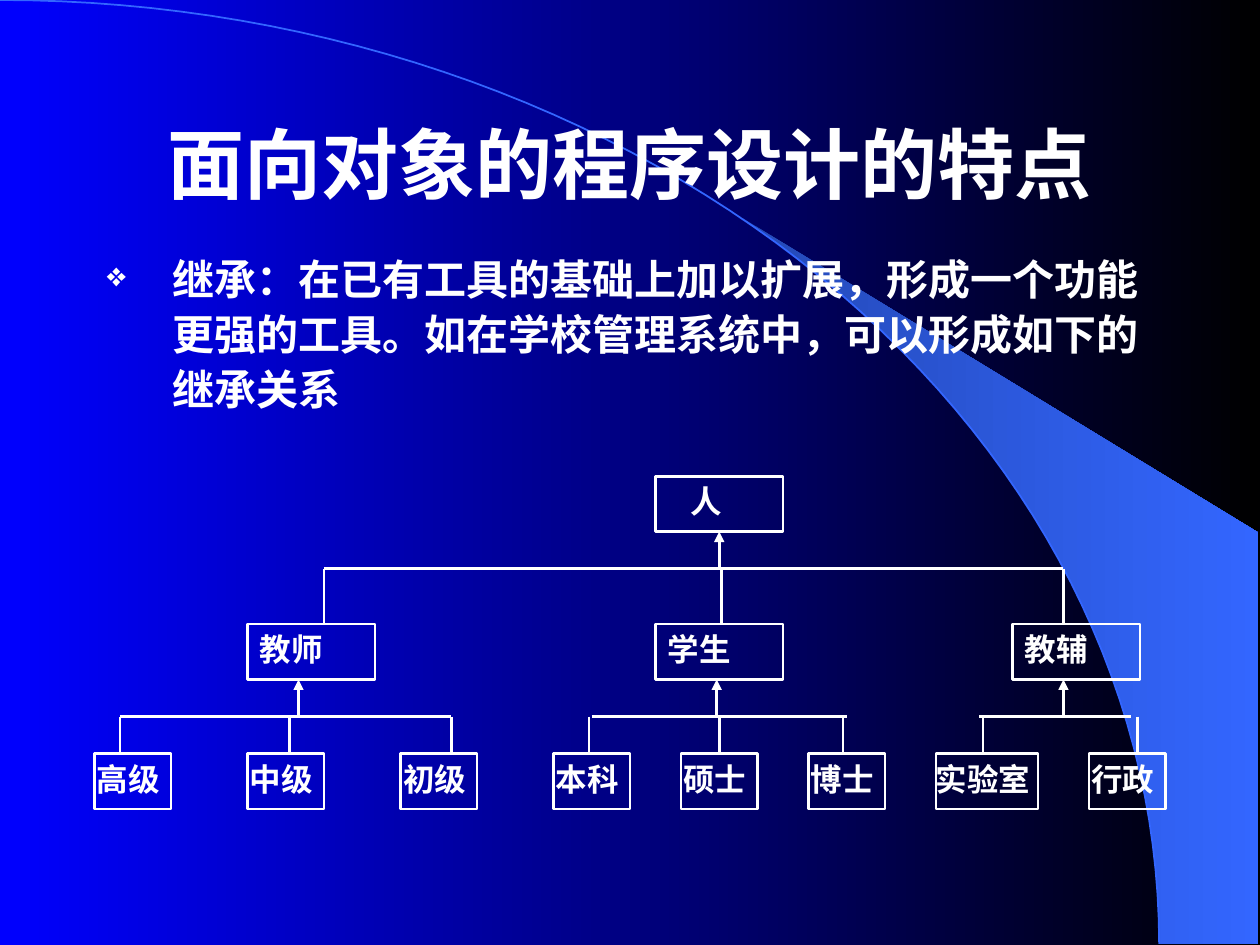
import math
import pptx
import pptx.dml.color
import pptx.enum.shapes
import pptx.enum.text
import pptx.oxml.ns
import pptx.util
from lxml import etree

COLORS = {"white": "FFFFFF", "blue": "0000FF", "black": "000000",
          "arc": "3366FF", "swoosh": "2449B6"}
ALIGN = pptx.enum.text.PP_ALIGN
ANCHOR = pptx.enum.text.MSO_ANCHOR
qn = pptx.oxml.ns.qn
inch = pptx.util.Inches


def rgb(name):
    return pptx.dml.color.RGBColor.from_string(COLORS[name])


def write(frame, text, size=18, font="Times New Roman", align=ALIGN.JUSTIFY,
          anchor=ANCHOR.TOP, left=0.1, right=0.1):
    """Fill a frame with one bold white paragraph; side insets in inches."""
    frame.word_wrap = True
    frame.vertical_anchor = anchor
    frame.margin_left, frame.margin_right = inch(left), inch(right)
    frame.margin_top = frame.margin_bottom = inch(0.05)
    para = frame.paragraphs[0]
    para.alignment = align
    span = para.add_run()
    span.text = text
    span.font.size = pptx.util.Pt(size)
    span.font.name = font
    span.font.bold = True
    span.font.color.rgb = rgb("white")
    return para


deck = pptx.Presentation()
deck.slide_width, deck.slide_height = inch(10), inch(7.5)
page = deck.slides.add_slide(deck.slide_layouts[5])
shapes = page.shapes

# Background, and a quarter ellipse with a swoosh along its lower part
arc_width, arc_height, steps = inch(9.2), inch(7.49), 60
arc_points = [(arc_width * math.sin(step / steps * math.pi / 2),
               arc_height * (1 - math.cos(step / steps * math.pi / 2)))
              for step in range(steps + 1)]
swoosh_start = (inch(5.89), inch(1.73))
swoosh_points = [swoosh_start]
swoosh_points += [point for point in arc_points if point[0] > swoosh_start[0]]
swoosh_points += [(inch(9.99), arc_height), (inch(9.99), inch(4.23))]

outlines = []
for points, closed in ((swoosh_points, True), (arc_points, False)):
    builder = shapes.build_freeform(*points[0])
    builder.add_line_segments(points[1:], close=closed)
    outline = builder.convert_to_shape()
    outline.shadow.inherit = False
    outlines.append(outline)
swoosh, arc = outlines
swoosh.line.fill.background()
arc.fill.background()
arc.line.color.rgb = rgb("arc")
arc.line.width = pptx.util.Pt(1)

for fill, ends in ((page.background.fill, ("blue", "black")),
                   (swoosh.fill, ("swoosh", "arc"))):
    fill.gradient()
    fill.gradient_angle = 0
    for stop, name in zip(fill.gradient_stops, ends):
        stop.color.rgb = rgb(name)

# Title, in front of the arc
title = shapes.title
title.left, title.top, title.width, title.height = map(inch, (0.75, 0.67, 8.5, 1.25))
write(title.text_frame, "面向对象的程序设计的特点", size=44, font="Arial",
      align=ALIGN.CENTER, anchor=ANCHOR.MIDDLE)
arc.element.addnext(title.element)

# Bulleted statement
body = shapes.add_textbox(*map(inch, (0.75, 1.92, 8.5, 1.61)))
para = write(body.text_frame,
             "继承：在已有工具的基础上加以扩展，形成一个功能更强的工具。"
             "如在学校管理系统中，可以形成如下的继承关系",
             size=24, align=ALIGN.LEFT)
para.line_spacing = 1.1
para.space_before = pptx.util.Pt(4.8)
properties = para._p.get_or_add_pPr()
properties.set("marL", str(inch(0.52)))
properties.set("indent", str(-inch(0.52)))
bullet_color = etree.SubElement(properties, qn("a:buClr"))
etree.SubElement(bullet_color, qn("a:srgbClr"), val=COLORS["white"])
etree.SubElement(properties, qn("a:buSzPct"), val="80000")
etree.SubElement(properties, qn("a:buChar"), char="❖")

# Tree, on a grid of 42 columns and 18 rows
tree_left, tree_top = inch(0.75), inch(3.78)
column, row = inch(8.5) / 42, inch(2.64) / 18
box_rows = 3

# Text, column, row, columns wide, left inset, right inset
boxes = [("人", 22, 0, 5, 0.28, 0.1)]
boxes += [(text, start, 8, 5, 0.1, 0.1)
          for text, start in (("教师", 6), ("学生", 22), ("教辅", 36))]
boxes += [(text, start, 15, 3, 0.02, 0.02)
          for text, start in (("高级", 0), ("中级", 6), ("初级", 12), ("本科", 18),
                              ("硕士", 23), ("博士", 28), ("行政", 39))]
boxes.append(("实验室", 33, 15, 4, 0, 0))
for text, start, level, width, left, right in boxes:
    box = shapes.add_shape(pptx.enum.shapes.MSO_SHAPE.RECTANGLE,
                           round(tree_left + start * column),
                           round(tree_top + level * row),
                           round(width * column), round(box_rows * row))
    box.shadow.inherit = False
    box.fill.background()
    box.line.color.rgb = rgb("white")
    box.line.width = pptx.util.Pt(1.5)
    write(box.text_frame, text, left=left, right=right)

# Parent bottom row, bus row, child top row, bus ends, child columns, arrow column
branches = [
    (3, 5, 8, (9, 38), (9, 24.6, 38), 24.5),
    (11, 13, 15, (1, 14), (1, 7.66, 14), 8),
    (11, 13, 15, (19.5, 29.5), (19.4, 24.5, 29.35), 24.4),
    (11, 13, 15, (34.7, 40.65), (34.85, 40.9), 38),
]
lines = []
for parent, bus, child, (bus_left, bus_right), drops, arrow in branches:
    lines.append((bus_left, bus, bus_right, bus, False))
    lines += [(drop, bus, drop, child, False) for drop in drops]
    lines.append((arrow, bus, arrow, parent, True))
for from_column, from_row, to_column, to_row, has_arrow in lines:
    line = shapes.add_connector(pptx.enum.shapes.MSO_CONNECTOR.STRAIGHT,
                                round(tree_left + from_column * column),
                                round(tree_top + from_row * row),
                                round(tree_left + to_column * column),
                                round(tree_top + to_row * row))
    line.line.color.rgb = rgb("white")
    line.line.width = pptx.util.Pt(1.5)
    if has_arrow:
        etree.SubElement(line.line._get_or_add_ln(), qn("a:tailEnd"), type="triangle")
    etree.SubElement(line.element.spPr, qn("a:effectLst"))

deck.save("out.pptx")
